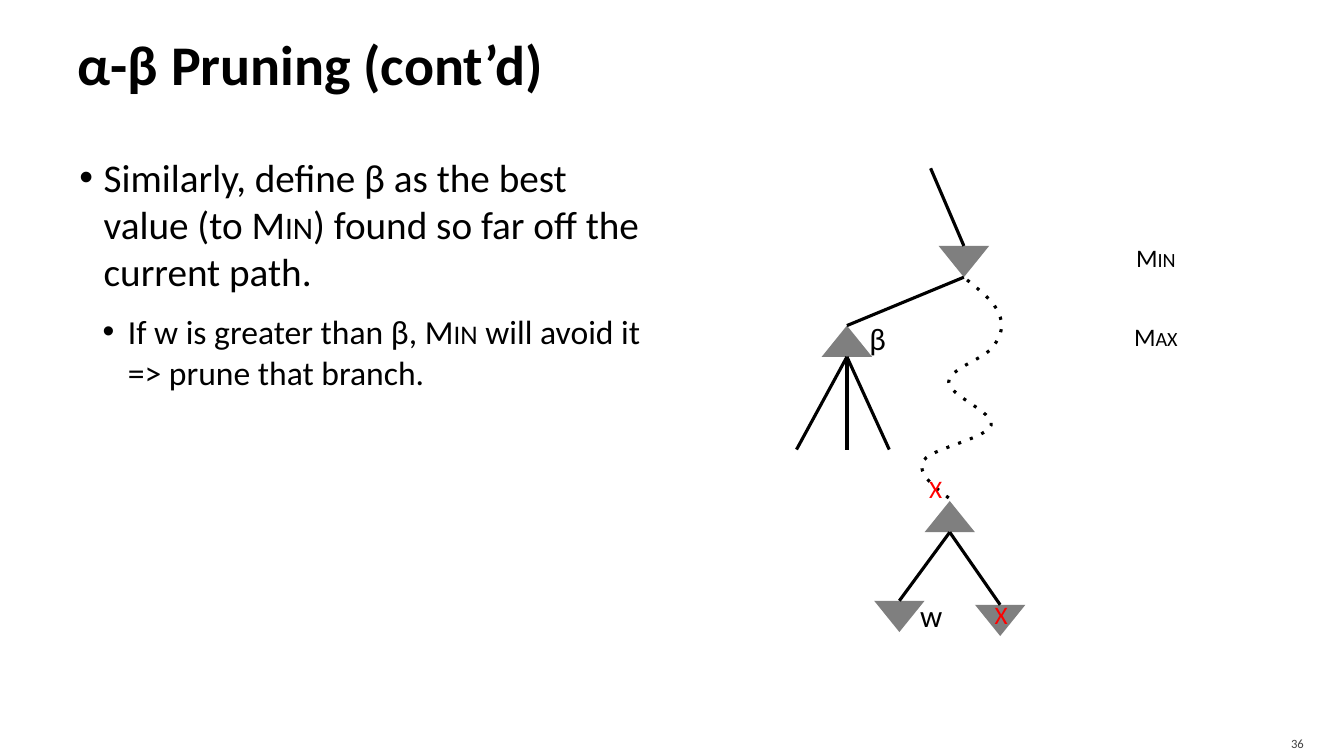
from pptx import Presentation
from pptx import util as u
from pptx.dml.color import RGBColor
from pptx.enum import dml, shapes, text
from pptx.oxml import parse_xml
from pptx.oxml.ns import nsdecls
from lxml import etree

# Content: a run is (text, small caps)
TITLE = "α-β Pruning (cont’d)"
BULLETS = [  # runs, size key, left margin, hanging indent, space before
    ([("Similarly, define β as the best value (to ", False), ("Min", True),
      (") found so far off the current path.", False)], "body", 0.26, -0.24, 0),
    ([("If w is greater than β, ", False), ("Min", True),
      (" will avoid it => prune that branch.", False)], "sub", 0.5, -0.25, 12),
]
# Tree nodes: centre x, top, points down
NODES = {
    "min": (9.56, 2.44, True),
    "beta": (8.4, 3.23, False),
    "deep": (9.42, 4.97, False),
    "w": (8.92, 5.96, True),
    "cut": (9.92, 6.0, True),
}
BRANCHES = [("min", "beta"), ("deep", "w"), ("deep", "cut")]
STUB_ENDS = [(7.9, 4.46), (8.4, 4.46), (8.82, 4.46)]
ROOT_START = (9.23, 1.67)
# Dotted path: start, then cubic segments (two controls and an end)
PATH_START = (9.41, 4.94)
PATH_CURVES = [
    ((9.25, 4.82), (9.09, 4.69), (9.16, 4.57)),
    ((9.23, 4.45), (9.79, 4.35), (9.83, 4.22)),
    ((9.87, 4.09), (9.4, 3.92), (9.41, 3.79)),
    ((9.41, 3.66), (9.76, 3.56), (9.84, 3.45)),
    ((9.93, 3.34), (9.96, 3.23), (9.91, 3.12)),
    ((9.87, 3.0), (9.72, 2.88), (9.57, 2.76)),
]
# Diagram marks: text, box, size key, colour key, line spacing
MARKS = [
    ("β", (8.5, 3.22, 0.41, 0.33), "value", "ink", 0.8),
    ("w", (9.03, 5.97, 0.41, 0.33), "value", "ink", 0.8),
    ("X", (9.12, 4.69, 0.32, 0.31), "label", "cut", 1.0),
    ("X", (9.77, 5.94, 0.32, 0.31), "label", "cut", 1.0),
]
LEVELS = [("Max", (11.15, 3.14, 0.64, 0.4)), ("Min", (11.17, 2.35, 0.6, 0.4))]
PAGE = "36"

THEME = {
    "font": "Calibri",
    "ink": RGBColor(0, 0, 0), "node": RGBColor(0x7F, 0x7F, 0x7F),
    "cut": RGBColor(0xFF, 0, 0), "page": RGBColor(0x41, 0x41, 0x41),
    "sizes": {"title": 40, "body": 28, "sub": 24, "value": 22.2,
              "label": 18, "page": 9},
    "line": u.Pt(2.25),
}
NODE_W, NODE_H = 0.5, 0.31
CURVE_STEPS = 12


def inches(values):
    return [u.Inches(v) for v in values]


def setup_frame(tf, insets, anchor=text.MSO_ANCHOR.TOP, wrap=True):
    tf.word_wrap = wrap
    tf.vertical_anchor = anchor
    tf.margin_left, tf.margin_top, tf.margin_right, tf.margin_bottom = inches(insets)


def style(r, size, color="ink", small=False, bold=False):
    r.font.name = THEME["font"]
    r.font.size = u.Pt(THEME["sizes"][size])
    r.font.color.rgb = THEME[color]
    r.font.bold = bold
    if small:
        r.font._element.set("cap", "small")


def add_label(s, label, box, size, color="ink", align=text.PP_ALIGN.LEFT,
              insets=(0, 0, 0, 0), anchor=text.MSO_ANCHOR.MIDDLE,
              wrap=True, small=False, spacing=1.0):
    tf = s.shapes.add_textbox(*inches(box)).text_frame
    setup_frame(tf, insets, anchor, wrap)
    p = tf.paragraphs[0]
    p.text = label
    p.alignment = align
    p.line_spacing = spacing
    style(p.runs[0], size, color, small)
    return tf


def add_bullet(p, left, hang):
    pPr = p._p.get_or_add_pPr()
    pPr.set("marL", str(u.Inches(left)))
    pPr.set("indent", str(u.Inches(hang)))
    for xml in (f'<a:buClr {nsdecls("a")}><a:srgbClr val="{THEME["ink"]}"/></a:buClr>',
                f'<a:buFont {nsdecls("a")} typeface="Arial"/>',
                f'<a:buChar {nsdecls("a")} char="•"/>'):
        pPr.append(parse_xml(xml))


def add_line(s, start, end):
    line = s.shapes.add_connector(shapes.MSO_CONNECTOR.STRAIGHT, *inches(start + end))
    line.line.color.rgb = THEME["ink"]
    line.line.width = THEME["line"]
    spPr = line._element.spPr
    etree.SubElement(spPr, "{http://schemas.openxmlformats.org/drawingml/2006/main}effectLst")


def node_top(name):
    return NODES[name][:2]


def node_bottom(name):
    x, top, _ = NODES[name]
    return x, top + NODE_H


def curve_points(start, curves):
    for c1, c2, end in curves:
        for i in range(1, CURVE_STEPS + 1):
            t = i / CURVE_STEPS
            k = 1 - t
            yield tuple(u.Inches(k**3 * a + 3 * k * k * t * b + 3 * k * t * t * c + t**3 * d)
                        for a, b, c, d in zip(start, c1, c2, end))
        start = end


prs = Presentation()
prs.slide_width, prs.slide_height = u.Inches(13.33), u.Inches(7.5)
s = prs.slides.add_slide(prs.slide_layouts[5])

# Title
title = s.shapes.title
title.left, title.top, title.width, title.height = inches((0.67, 0.17, 12, 0.92))
title.text_frame.text = TITLE
title.text_frame.auto_size = text.MSO_AUTO_SIZE.NONE
setup_frame(title.text_frame, (0.1, 0.05, 0.05, 0.05), text.MSO_ANCHOR.MIDDLE)
title.text_frame.paragraphs[0].alignment = text.PP_ALIGN.LEFT
style(title.text_frame.paragraphs[0].runs[0], "title", bold=True)

# Bulleted text
tf = s.shapes.add_textbox(*inches((0.67, 1.42, 5.89, 6.02))).text_frame
setup_frame(tf, (0.1, 0.1, 0.1, 0.05))
for level, (runs, size, left, hang, before) in enumerate(BULLETS):
    p = tf.add_paragraph() if level else tf.paragraphs[0]
    p.level = level
    p.space_before = u.Pt(before)
    add_bullet(p, left, hang)
    for words, small in runs:
        r = p.add_run()
        r.text = words
        style(r, size, small=small)

# Tree nodes
for x, top, down in NODES.values():
    sp = s.shapes.add_shape(shapes.MSO_SHAPE.ISOSCELES_TRIANGLE,
                            *inches((x - NODE_W / 2, top, NODE_W, NODE_H)))
    sp.rotation = 180 if down else 0
    sp.shadow.inherit = False
    sp.fill.solid()
    sp.fill.fore_color.rgb = THEME["node"]
    sp.line.fill.background()

# Branches
add_line(s, ROOT_START, node_top("min"))
for parent, child in BRANCHES:
    add_line(s, node_bottom(parent), node_top(child))
for end in STUB_ENDS:
    add_line(s, node_bottom("beta"), end)

# Dotted path
builder = s.shapes.build_freeform(*inches(PATH_START), scale=1.0)
builder.add_line_segments(list(curve_points(PATH_START, PATH_CURVES)), close=False)
path_shape = builder.convert_to_shape()
path_shape.shadow.inherit = False
path_shape.fill.background()
path_shape.line.color.rgb = THEME["ink"]
path_shape.line.width = THEME["line"]
path_shape.line.dash_style = dml.MSO_LINE.ROUND_DOT
path_shape.line._ln.prstDash.set("val", "dot")

# Values, cut marks and level names
for label, box, size, color, spacing in MARKS:
    add_label(s, label, box, size, color, text.PP_ALIGN.CENTER, spacing=spacing)
for label, box in LEVELS:
    tf = add_label(s, label, box, "label", insets=(0.1, 0.05, 0.1, 0.05),
                   anchor=text.MSO_ANCHOR.TOP, wrap=False, small=True)
    tf.auto_size = text.MSO_AUTO_SIZE.SHAPE_TO_FIT_TEXT

# Page number
add_label(s, PAGE, (11.96, 7.2, 1.07, 0.3), "page", "page", text.PP_ALIGN.RIGHT,
          insets=(0.1, 0.05, 0.1, 0))

prs.save("out.pptx")
